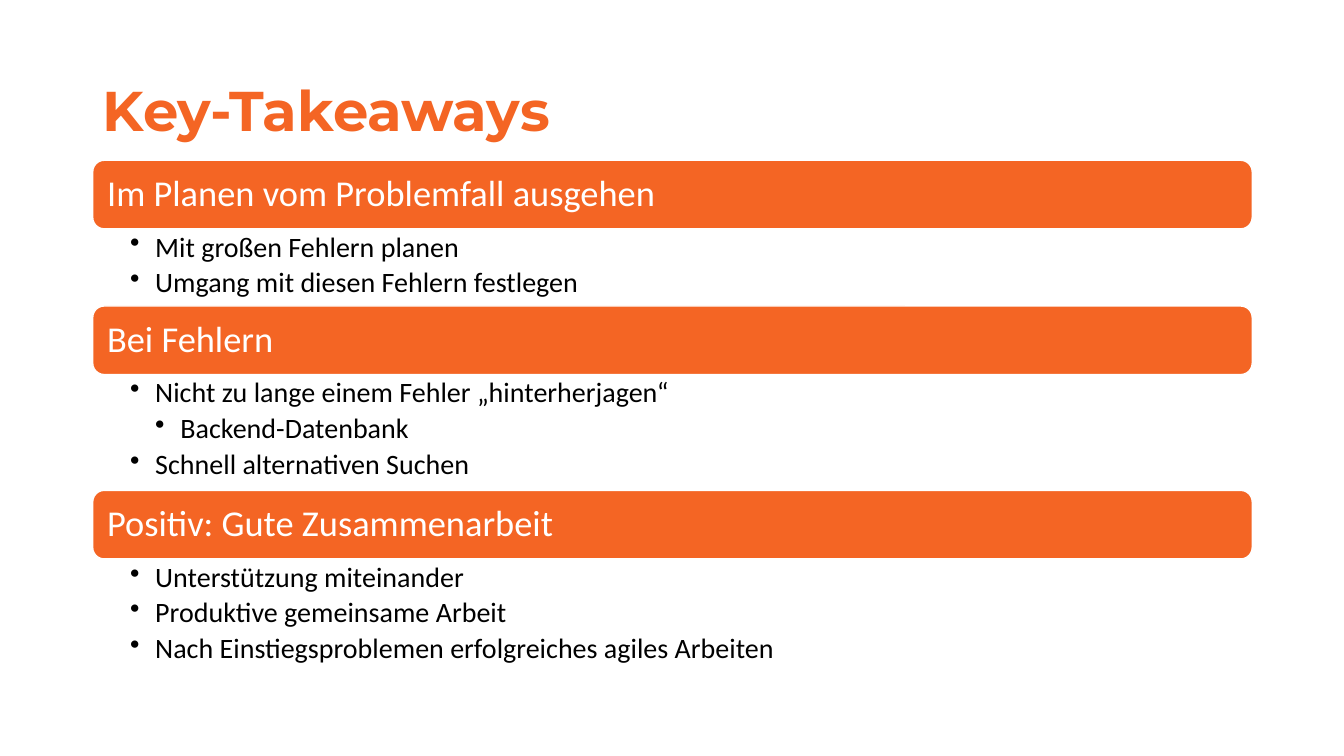
from lxml import etree
from pptx import Presentation
from pptx import util as u
from pptx.dml.color import RGBColor
from pptx.enum import shapes, text
from pptx.oxml.ns import qn

ORANGE = RGBColor(0xF4, 0x65, 0x24)
WHITE = RGBColor(255, 255, 255)
BLACK = RGBColor(0, 0, 0)
BAR = 0.68
ROW = 0.383
STEP = 0.25

TOPICS = [
    ("Im Planen vom Problemfall ausgehen",
     [(1, "Mit großen Fehlern planen"),
      (1, "Umgang mit diesen Fehlern festlegen")]),
    ("Bei Fehlern",
     [(1, "Nicht zu lange einem Fehler „hinterherjagen“"),
      (2, "Backend-Datenbank"),
      (1, "Schnell alternativen Suchen")]),
    ("Positiv: Gute Zusammenarbeit",
     [(1, "Unterstützung miteinander"),
      (1, "Produktive gemeinsame Arbeit"),
      (1, "Nach Einstiegsproblemen erfolgreiches agiles Arbeiten")]),
]


def write(frame, lines, size, color, font="Calibri", bold=False, after=0,
          anchor=text.MSO_ANCHOR.MIDDLE, pads=(0.1, 0.05, 0.1, 0.05)):
    frame.word_wrap = True
    frame.auto_size = text.MSO_AUTO_SIZE.NONE
    frame.vertical_anchor = anchor
    (frame.margin_left, frame.margin_top,
     frame.margin_right, frame.margin_bottom) = map(u.Inches, pads)
    for i, (level, words) in enumerate(lines):
        para = frame.add_paragraph() if i else frame.paragraphs[0]
        para.alignment = text.PP_ALIGN.LEFT
        para.line_spacing = 0.9
        para.space_before = u.Pt(0)
        para.space_after = u.Pt(after)
        run = para.add_run()
        run.text = words
        run.font.name = font
        run.font.size = u.Pt(size)
        run.font.bold = bold
        run.font.color.rgb = color
        if level:
            para.level = level
            props = para._p.get_or_add_pPr()
            props.set("marL", str(u.Inches(level * STEP)))
            props.set("indent", str(-u.Inches(STEP)))
            etree.SubElement(props, qn("a:buChar")).set("char", "•")


def head(slide, box, words):
    title = slide.shapes.title
    title.left, title.top, title.width, title.height = map(u.Inches, box)
    write(title.text_frame, [(0, words)], 40, ORANGE,
          font="Montserrat", bold=True)


def topic(slide, box, name, points):
    left, top, width, height = box
    bar = slide.shapes.add_shape(shapes.MSO_SHAPE.ROUNDED_RECTANGLE,
                                 *map(u.Inches, (left, top, width, BAR)))
    bar.shadow.inherit = False
    bar.fill.solid()
    bar.fill.fore_color.rgb = ORANGE
    bar.line.color.rgb = WHITE
    bar.line.width = u.Pt(1)
    write(bar.text_frame, [(0, name)], 26, WHITE, pads=(0.11,) * 4)
    body = slide.shapes.add_textbox(
        *map(u.Inches, (left, top + BAR, width, height - BAR)))
    write(body.text_frame, points, 20, BLACK, after=4,
          anchor=text.MSO_ANCHOR.TOP, pads=(0.37, 0.04, 0.2, 0.04))


def stack(slide, box, topics):
    left, top, width = box
    for name, points in topics:
        height = BAR + ROW * len(points)
        topic(slide, (left, top, width, height), name, points)
        top += height


deck = Presentation()
deck.slide_width, deck.slide_height = u.Inches(13.33), u.Inches(7.5)
slide = deck.slides.add_slide(deck.slide_layouts[5])
head(slide, (0.92, 0.4, 11.5, 1.45), "Key-Takeaways")
stack(slide, (0.92, 1.59, 11.5), TOPICS)
deck.save("out.pptx")
